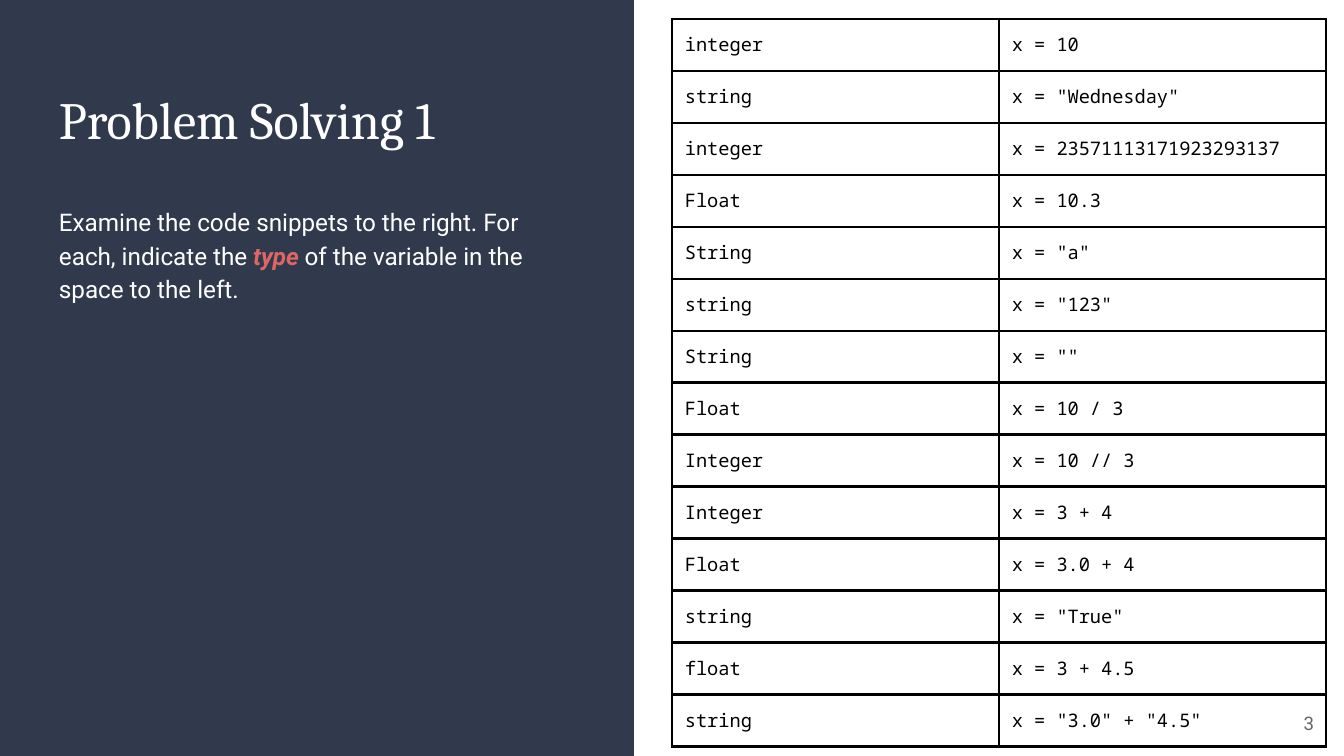
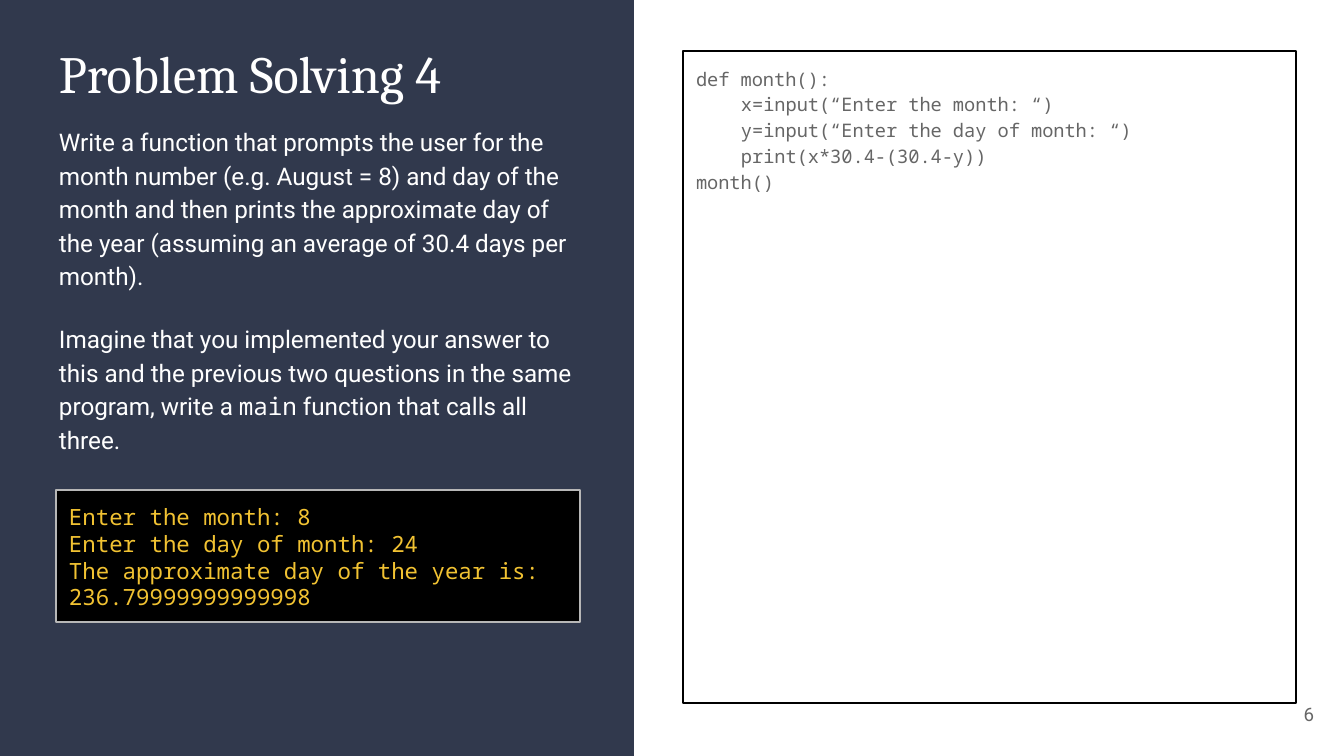
import pptx
import pptx.dml.color
import pptx.enum.shapes
import pptx.enum.text
import pptx.oxml.ns
import pptx.presentation
import pptx.shapes.base
import pptx.slide
import pptx.table
import pptx.text.text
import pptx.util
from dataclasses import dataclass
from lxml import etree
from typing import NamedTuple, Optional, Sequence

EMU_PER_PX = 914400 / 134.4
Align = pptx.enum.text.PP_ALIGN
Anchor = pptx.enum.text.MSO_ANCHOR
RECTANGLE = pptx.enum.shapes.MSO_SHAPE.RECTANGLE


@dataclass(frozen=True)
class Theme:
    panel: str = "31394D"
    light: str = "FFFFFF"
    ink: str = "000000"
    muted: str = "666666"
    accent: str = "E06666"
    console: str = "F1C232"
    console_edge: str = "B7B7B7"
    heading_font: str = "Cambria"
    body_font: str = "Roboto"
    code_font: str = "Noto Sans Mono"
    heading_size: int = 28
    body_size: int = 13
    console_size: int = 12
    small_size: int = 10
    thick_line: float = 1.5
    thin_line: float = 0.75
    loose: float = 1.15
    gap: int = 16
    inset: int = 13
    code_indent: int = 45


THEME = Theme()


class Box(NamedTuple):
    left: int
    top: int
    width: int
    height: int


class Style(NamedTuple):
    font: str
    size: int
    color: str
    emphasis: bool = False


class Span(NamedTuple):
    text: str
    style: Style


class Para(NamedTuple):
    spans: Sequence[Span]
    spacing: float = 1.0
    before: int = 0
    after: int = 0
    indent: int = 0
    align: Align = Align.LEFT


HEADING = Style(THEME.heading_font, THEME.heading_size, THEME.light)
PROMPT = Style(THEME.body_font, THEME.body_size, THEME.light)
KEYWORD = Style(THEME.body_font, THEME.body_size, THEME.accent, True)
INLINE_CODE = Style(THEME.code_font, THEME.body_size, THEME.light)
ANSWER = Style(THEME.code_font, THEME.small_size, THEME.ink)
CODE = Style(THEME.code_font, THEME.small_size, THEME.muted)
CONSOLE = Style(THEME.code_font, THEME.console_size, THEME.console)
NUMBER = Style(THEME.body_font, THEME.small_size, THEME.muted)

SLIDE_WIDTH, SLIDE_HEIGHT = 1344, 756
PANEL = Box(0, 0, 634, SLIDE_HEIGHT)
COLUMN_LEFT, COLUMN_WIDTH = 46, 544
ANSWER_TABLE = Box(672, 19, 654, 728)
CODE_BOX = Box(683, 51, 613, 652)
CONSOLE_BOX = Box(56, 490, 524, 132)

ANSWERS = [
    ("integer", 'x = 10'),
    ("string", 'x = "Wednesday"'),
    ("integer", 'x = 23571113171923293137'),
    ("Float", 'x = 10.3'),
    ("String", 'x = "a"'),
    ("string", 'x = "123"'),
    ("String", 'x = ""'),
    ("Float", 'x = 10 / 3'),
    ("Integer", 'x = 10 // 3'),
    ("Integer", 'x = 3 + 4'),
    ("Float", 'x = 3.0 + 4'),
    ("string", 'x = "True"'),
    ("float", 'x = 3 + 4.5'),
    ("string", 'x = "3.0" + "4.5"'),
]

TYPE_PROMPT = [
    Para([Span("Examine the code snippets to the right. For each, indicate the ", PROMPT),
          Span("type ", KEYWORD),
          Span("of the variable in the space to the left.", PROMPT)],
         THEME.loose, after=THEME.gap),
]

MONTH_PROMPT = [
    Para([Span("Write a function that prompts the user for the month number "
               "(e.g. August = 8) and day of the month and then prints the "
               "approximate day of the year (assuming an average of 30.4 days "
               "per month).", PROMPT)], THEME.loose),
    Para([Span("Imagine that you implemented your answer to this and the previous "
               "two questions in the same program, write a ", PROMPT),
          Span("main", INLINE_CODE),
          Span(" function that calls all three.", PROMPT)],
         THEME.loose, before=THEME.gap, after=THEME.gap),
]

MONTH_CODE = [
    ("def month():", 0),
    ("x=input(“Enter the month: “)", 1),
    ("y=input(“Enter the day of month: “)", 1),
    ("print(x*30.4-(30.4-y))", 1),
    ("month()", 0),
]

CONSOLE_LINES = [
    "Enter the month: 8",
    "Enter the day of month: 24",
    "The approximate day of the year is: 236.79999999999998",
]


def px(length: float) -> pptx.util.Emu:
    return pptx.util.Emu(round(length * EMU_PER_PX))


def emu(box: Box) -> list[pptx.util.Emu]:
    return [px(length) for length in box]


def rgb(color: str) -> pptx.dml.color.RGBColor:
    return pptx.dml.color.RGBColor.from_string(color)


def place(shape: pptx.shapes.base.BaseShape, box: Box) -> None:
    shape.left, shape.top, shape.width, shape.height = emu(box)


def write(frame: pptx.text.text.TextFrame, paras: Sequence[Para]) -> None:
    frame.text = "\n".join("" for _ in paras)
    for paragraph, para in zip(frame.paragraphs, paras):
        paragraph.alignment = para.align
        paragraph.line_spacing = para.spacing
        paragraph.space_before = pptx.util.Pt(para.before)
        paragraph.space_after = pptx.util.Pt(para.after)
        properties = paragraph._p.get_or_add_pPr()
        properties.set("marL", str(px(para.indent)))
        properties.set("indent", "0")
        etree.SubElement(properties, pptx.oxml.ns.qn("a:buNone"))
        for span in para.spans:
            run = paragraph.add_run()
            run.text = span.text
            run.font.name = span.style.font
            run.font.size = pptx.util.Pt(span.style.size)
            run.font.color.rgb = rgb(span.style.color)
            run.font.bold = run.font.italic = span.style.emphasis


def write_in_frame(frame: pptx.text.text.TextFrame, paras: Sequence[Para],
                   anchor: Anchor = Anchor.TOP) -> None:
    frame.word_wrap = True
    frame.auto_size = pptx.enum.text.MSO_AUTO_SIZE.NONE
    frame.vertical_anchor = anchor
    frame.margin_left = frame.margin_right = px(THEME.inset)
    frame.margin_top = frame.margin_bottom = px(THEME.inset)
    write(frame, paras)


def add_rectangle(slide: pptx.slide.Slide, box: Box, fill: str,
                  edge: Optional[str] = None) -> pptx.shapes.base.BaseShape:
    rectangle = slide.shapes.add_shape(RECTANGLE, *emu(box))
    rectangle.shadow.inherit = False
    rectangle.fill.solid()
    rectangle.fill.fore_color.rgb = rgb(fill)
    if edge:
        rectangle.line.color.rgb = rgb(edge)
        rectangle.line.width = pptx.util.Pt(THEME.thick_line)
    else:
        rectangle.line.fill.background()
    return rectangle


def add_problem(deck: pptx.presentation.Presentation, layout: int, heading: str,
                heading_top: int, prompt: Sequence[Para], prompt_top: int,
                prompt_height: int, number: str, number_top: int) -> pptx.slide.Slide:
    slide = deck.slides.add_slide(deck.slide_layouts[layout])
    panel = add_rectangle(slide, PANEL, THEME.panel)
    slide.shapes._spTree.insert(2, panel._element)
    title = slide.shapes.title
    place(title, Box(COLUMN_LEFT, heading_top, COLUMN_WIDTH, 94))
    write_in_frame(title.text_frame, [Para([Span(heading, HEADING)])])
    body = slide.placeholders[1]
    place(body, Box(COLUMN_LEFT, prompt_top, COLUMN_WIDTH, prompt_height))
    write_in_frame(body.text_frame, prompt)
    page = slide.shapes.add_textbox(*emu(Box(1246, number_top, 81, 58)))
    write_in_frame(page.text_frame,
                   [Para([Span(number, NUMBER)], align=Align.RIGHT)], Anchor.MIDDLE)
    return slide


def outline_cell(cell: pptx.table._Cell) -> None:
    properties = cell._tc.get_or_add_tcPr()
    for side in ("lnL", "lnR", "lnT", "lnB"):
        border = etree.SubElement(properties, pptx.oxml.ns.qn(f"a:{side}"),
                                  w=str(pptx.util.Pt(THEME.thick_line)))
        fill = etree.SubElement(border, pptx.oxml.ns.qn("a:solidFill"))
        etree.SubElement(fill, pptx.oxml.ns.qn("a:srgbClr"), val=THEME.ink)


def add_answers(slide: pptx.slide.Slide) -> None:
    answers = slide.shapes.add_table(len(ANSWERS), 2, *emu(ANSWER_TABLE)).table
    answers.first_row = answers.horz_banding = False
    for column in answers.columns:
        column.width = px(ANSWER_TABLE.width // 2)
    for row, texts in zip(answers.rows, ANSWERS):
        row.height = px(ANSWER_TABLE.height // len(ANSWERS))
        for cell, text in zip(row.cells, texts):
            cell.margin_left = cell.margin_right = px(THEME.inset)
            cell.margin_top = cell.margin_bottom = px(THEME.inset)
            outline_cell(cell)
            cell.fill.background()
            write(cell.text_frame, [Para([Span(text, ANSWER)])])


def add_month_code(slide: pptx.slide.Slide) -> None:
    code = slide.placeholders[2]
    place(code, CODE_BOX)
    code.line.color.rgb = rgb(THEME.ink)
    code.line.width = pptx.util.Pt(THEME.thin_line)
    write_in_frame(code.text_frame,
                   [Para([Span(text, CODE)], THEME.loose, indent=depth * THEME.code_indent)
                    for text, depth in MONTH_CODE])


def add_console(slide: pptx.slide.Slide) -> None:
    console = add_rectangle(slide, CONSOLE_BOX, THEME.ink, THEME.console_edge)
    write_in_frame(console.text_frame,
                   [Para([Span(text, CONSOLE)]) for text in CONSOLE_LINES])


def main() -> None:
    deck = pptx.Presentation()
    deck.slide_width, deck.slide_height = px(SLIDE_WIDTH), px(SLIDE_HEIGHT)
    types = add_problem(deck, 1, "Problem Solving 1", 74, TYPE_PROMPT, 190, 396, "3", 694)
    add_answers(types)
    month = add_problem(deck, 3, "Problem Solving 4", 28, MONTH_PROMPT, 110, 347, "6", 685)
    add_month_code(month)
    add_console(month)
    deck.save("out.pptx")


if __name__ == "__main__":
    main()
